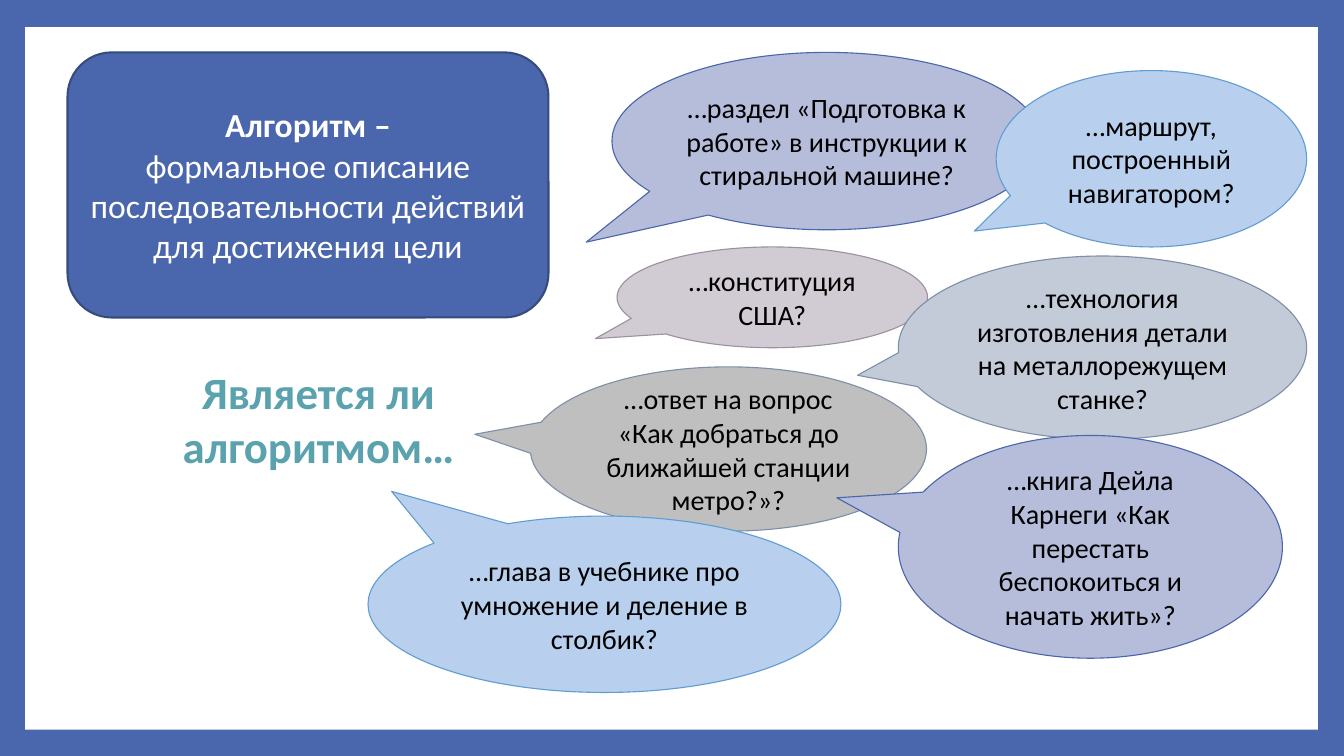
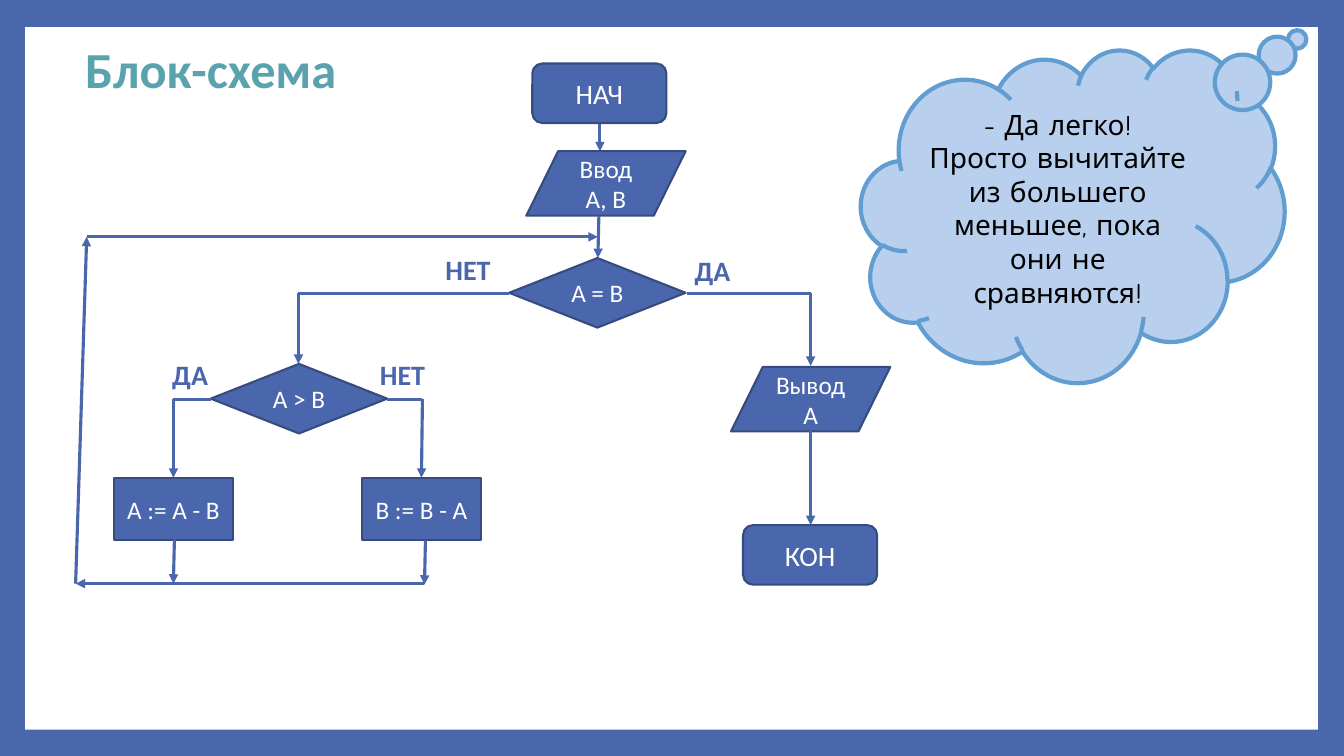
from lxml import etree
from pptx import Presentation
from pptx.dml.color import RGBColor
from pptx.enum.shapes import MSO_CONNECTOR, MSO_SHAPE
from pptx.enum.text import MSO_ANCHOR, MSO_AUTO_SIZE, PP_ALIGN
from pptx.oxml import parse_xml
from pptx.oxml.ns import qn
from pptx.util import Inches, Pt

RECT, ROUNDED = MSO_SHAPE.RECTANGLE, MSO_SHAPE.ROUNDED_RECTANGLE
OVAL_CALLOUT, CLOUD = MSO_SHAPE.OVAL_CALLOUT, MSO_SHAPE.CLOUD_CALLOUT
TERMINAL, DATA = MSO_SHAPE.FLOWCHART_ALTERNATE_PROCESS, MSO_SHAPE.FLOWCHART_DATA
DECISION, PROCESS = MSO_SHAPE.FLOWCHART_DECISION, MSO_SHAPE.FLOWCHART_PROCESS
STRAIGHT = MSO_CONNECTOR.STRAIGHT
TOP, MIDDLE = MSO_ANCHOR.TOP, MSO_ANCHOR.MIDDLE
LEFT, CENTER = PP_ALIGN.LEFT, PP_ALIGN.CENTER
FIT_SHAPE, NO_FIT = MSO_AUTO_SIZE.SHAPE_TO_FIT_TEXT, MSO_AUTO_SIZE.NONE

WHITE, BLACK = RGBColor(255, 255, 255), RGBColor(0, 0, 0)
BLUE, NAVY = RGBColor(0x4A, 0x66, 0xAC), RGBColor(0x37, 0x4B, 0x7F)
TEAL = RGBColor(0x5A, 0xA2, 0xAE)
LAVENDER = RGBColor(0xB5, 0xBD, 0xDB)
SKY, SKY_EDGE = RGBColor(0xB8, 0xD0, 0xED), RGBColor(0x62, 0x9D, 0xD1)
MAUVE, MAUVE_EDGE = RGBColor(0xD1, 0xCB, 0xD3), RGBColor(0x9D, 0x90, 0xA0)
STEEL, STEEL_EDGE = RGBColor(0xC4, 0xCB, 0xD8), RGBColor(0x7F, 0x8F, 0xA9)
GREY = RGBColor(0xBF, 0xBF, 0xBF)
FONT, CLOUD_FONT = "Calibri", "Comic Neue"

# Slide 1: text, box, pointer tip, fill, edge
DEFINITION = "Алгоритм –\nформальное описание последовательности действий для достижения цели"
CALLOUTS = [
    ("…раздел «Подготовка к работе» в инструкции к стиральной машине?",
     (6.07, 0.52, 4.26, 1.76), (-0.56, 0.57), LAVENDER, BLUE),
    ("…конституция США?",
     (6.12, 2.45, 3.08, 1), (-0.57, 0.41), MAUVE, MAUVE_EDGE),
    ("…технология изготовления детали на металлорежущем станке?",
     (8.91, 2.54, 4.05, 1.82), (-0.6, 0.15), STEEL, STEEL_EDGE),
    ("…маршрут, построенный навигатором?",
     (9.88, 0.7, 3.08, 1.75), (-0.57, 0.41), SKY, SKY_EDGE),
    ("…ответ на вопрос «Как добраться до ближайшей станции метро?»?",
     (5.26, 3.64, 3.93, 1.63), (-0.64, -0.09), GREY, STEEL_EDGE),
    ("…книга Дейла Карнеги «Как перестать беспокоиться и начать жить»?",
     (8.91, 4.32, 3.81, 2.21), (-0.66, -0.22), LAVENDER, BLUE),
    ("…глава в учебнике про умножение и деление в столбик?",
     (3.65, 5.12, 4.69, 1.75), (-0.45, -0.64), SKY, SKY_EDGE),
]

# Slide 2: flowchart
CLOUD_TEXT = "- Да легко!\nПросто вычитайте из большего меньшее, пока они не сравняются!"
NODE_STYLES = {  # width, height, text size
    TERMINAL: (1.33, 0.59, 20),
    DATA: (1.58, 0.64, 18),
    DECISION: (1.75, 0.69, 18),
    PROCESS: (1.18, 0.62, 18),
}
NODES = [
    ("НАЧ", TERMINAL, 5.28, 0.63),
    ("Ввод А, В", DATA, 5.22, 1.5),
    ("А = В", DECISION, 5.05, 2.56),
    ("А > В", DECISION, 2.09, 3.61),
    ("Вывод А", DATA, 7.25, 3.64),
    ("КОН", TERMINAL, 7.37, 5.21),
    ("А := А - В", PROCESS, 1.13, 4.74),
    ("В := В - А", PROCESS, 3.59, 4.74),
]
ROUTES = [  # arrowhead on the last leg
    [(5.95, 1.23), (5.95, 1.5)],
    [(5.94, 2.14), (5.93, 2.56)],
    [(5.05, 2.91), (2.96, 2.91), (2.96, 3.61)],
    [(6.81, 2.91), (8.04, 2.91), (8.04, 3.63)],
    [(2.09, 3.96), (1.72, 3.96), (1.72, 4.74)],
    [(3.84, 3.96), (4.19, 3.96), (4.18, 4.74)],
    [(1.73, 5.35), (1.72, 5.79)],
    [(4.22, 5.36), (4.21, 5.8)],
    [(8.04, 4.28), (8.04, 5.21)],
]
LOOP = [(4.21, 5.79), (0.75, 5.79), (0.86, 2.35), (5.93, 2.35)]
BRANCHES = [
    ("ДА", 1.61, 3.5, 0.71),
    ("НЕТ", 3.67, 3.5, 0.84),
    ("ДА", 6.79, 2.47, 0.71),
    ("НЕТ", 4.32, 2.46, 0.84),
]


def set_text(sp, text, size, color, bold=False, font=FONT, align=CENTER,
             anchor=MIDDLE, fit=NO_FIT):
    tf = sp.text_frame
    tf.text = text
    tf.word_wrap = True
    tf.auto_size = fit
    tf.vertical_anchor = anchor
    for p in tf.paragraphs:
        p.alignment = align
        for r in p.runs:
            r.font.name, r.font.size, r.font.bold = font, Pt(size), bold
            r.font.color.rgb = color


def add_box(s, shape, box, fill, edge=None, width=1.5, tip=()):
    sp = s.shapes.add_shape(shape, *map(Inches, box))
    sp.shadow.inherit = False
    sp.fill.solid()
    sp.fill.fore_color.rgb = fill
    if edge is None:
        sp.line.fill.background()
    else:
        sp.line.color.rgb = edge
        sp.line.width = Pt(width)
    for i, value in enumerate(tip):
        sp.adjustments[i] = value
    return sp


def add_title(s, text, box, size):
    title = s.shapes.title
    title.left, title.top, title.width, title.height = map(Inches, box)
    set_text(title, text, size, TEAL, True, anchor=TOP, fit=FIT_SHAPE)
    # White outline around the letters
    for r in title.text_frame.paragraphs[0].runs:
        r.font._element.insert(0, parse_xml(
            '<a:ln xmlns:a="http://schemas.openxmlformats.org/drawingml/2006/main" w="9525">'
            '<a:solidFill><a:srgbClr val="FFFFFF"/></a:solidFill></a:ln>'))


def add_line(s, start, end, arrow):
    line = s.shapes.add_connector(STRAIGHT, *map(Inches, start + end))
    line.line.color.rgb = BLUE
    line.line.width = Pt(2.25)
    props = line._element.spPr
    if arrow:
        etree.SubElement(props.find(qn("a:ln")), qn("a:tailEnd"), type="triangle")
    etree.SubElement(props, qn("a:effectLst"))


def add_route(s, points, every_leg=False):
    for i, (start, end) in enumerate(zip(points, points[1:]), 2):
        add_line(s, start, end, every_leg or i == len(points))


def build_definition(s):
    add_title(s, "Является ли алгоритмом…", (1.46, 3.57, 3.4, 1.18), 32)
    sp = add_box(s, ROUNDED, (0.67, 0.52, 4.77, 2.63), BLUE, NAVY)
    set_text(sp, DEFINITION, 24, WHITE)
    sp.text_frame.paragraphs[0].runs[0].font.bold = True
    for text, box, tip, fill, edge in CALLOUTS:
        sp = add_box(s, OVAL_CALLOUT, box, fill, edge, 0.79, tip)
        set_text(sp, text, 20, BLACK)


def build_flowchart(s):
    add_title(s, "Блок-схема", (0.48, 0.33, 3.22, 0.71), 36)
    sp = add_box(s, CLOUD, (8.54, 0.49, 4.2, 3.3), SKY, SKY_EDGE, 3, (0.53, -0.53))
    set_text(sp, CLOUD_TEXT, 20, BLACK, font=CLOUD_FONT)
    for text, shape, x, y in NODES:
        w, h, size = NODE_STYLES[shape]
        set_text(add_box(s, shape, (x, y, w, h), BLUE, NAVY), text, size, WHITE)
    for points in ROUTES:
        add_route(s, points)
    add_route(s, LOOP, every_leg=True)
    for text, x, y, w in BRANCHES:
        sp = s.shapes.add_textbox(*map(Inches, (x, y, w, 0.44)))
        set_text(sp, text, 20, BLUE, True, align=LEFT, anchor=TOP, fit=FIT_SHAPE)


def main():
    prs = Presentation()
    prs.slide_width, prs.slide_height = Inches(13.33), Inches(7.5)
    layout = prs.slide_layouts[5]
    slides = [prs.slides.add_slide(layout) for _ in range(2)]

    # Shared blue frame and white panel live on the layout
    layout.background.fill.solid()
    layout.background.fill.fore_color.rgb = BLUE
    panel = add_box(slides[0], RECT, (0.25, 0.27, 12.82, 6.97), WHITE)
    layout.shapes._spTree.append(panel._element)

    for build, s in zip((build_definition, build_flowchart), slides):
        build(s)
    prs.save("out.pptx")


if __name__ == "__main__":
    main()
